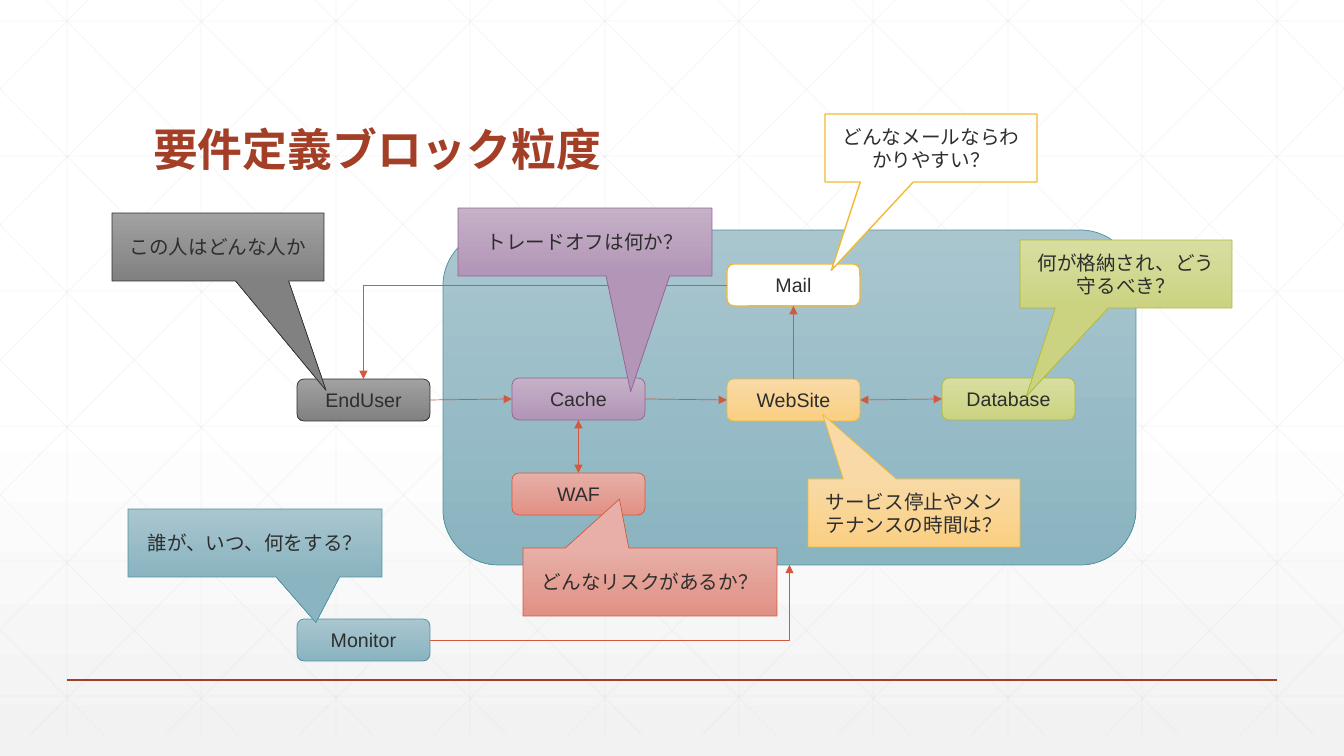
from lxml import etree
from pptx import Presentation
from pptx.dml.color import RGBColor
from pptx.enum.shapes import MSO_CONNECTOR, MSO_SHAPE
from pptx.enum.text import MSO_ANCHOR, PP_ALIGN
from pptx.oxml.ns import qn
from pptx.util import Pt

PX = 9071  # EMU per pixel
WIDTH, HEIGHT = 1344, 756
LATIN, JAPANESE = "Arial", "Noto Sans CJK JP"
STRAIGHT, ELBOW = MSO_CONNECTOR.STRAIGHT, MSO_CONNECTOR.ELBOW
ROUNDED, CALLOUT = MSO_SHAPE.ROUNDED_RECTANGLE, MSO_SHAPE.RECTANGULAR_CALLOUT
MIDDLE, BOTTOM_ANCHOR = MSO_ANCHOR.MIDDLE, MSO_ANCHOR.BOTTOM
LEFT_ALIGN, CENTER = PP_ALIGN.LEFT, PP_ALIGN.CENTER
TOP, LEFT, BOTTOM, RIGHT = range(4)  # connection sites

INK = RGBColor(0x2D, 0x2E, 0x2D)
RUST = RGBColor(0xA4, 0x3F, 0x27)
ARROW = RGBColor(0xD1, 0x5A, 0x3E)
GRID = RGBColor(0xD9, 0xD9, 0xD9)
WHITE = RGBColor(0xFF, 0xFF, 0xFF)
PALE = RGBColor(0xF2, 0xF2, 0xF2)
AMBER = RGBColor(0xF0, 0xBA, 0x34)

# Gradient top, gradient bottom, outline, outline width
GRAY = (RGBColor(0xA1, 0xA1, 0xA1), RGBColor(0x80, 0x81, 0x80), INK, 0.5)
ORANGE = (RGBColor(0xF9, 0xDA, 0xA6), RGBColor(0xFA, 0xCF, 0x83), AMBER, 0.5)
GREEN = (RGBColor(0xD8, 0xDE, 0xA1), RGBColor(0xCB, 0xD3, 0x81), RGBColor(0xAE, 0xB7, 0x33), 0.5)
PURPLE = (RGBColor(0xC5, 0xB1, 0xC8), RGBColor(0xB3, 0x95, 0xB7), RGBColor(0x92, 0x63, 0x97), 0.5)
RED = (RGBColor(0xE7, 0xAF, 0xA7), RGBColor(0xE2, 0x91, 0x86), ARROW, 0.5)
BLUE = (RGBColor(0xA9, 0xC6, 0xCF), RGBColor(0x8A, 0xB4, 0xC0), RGBColor(0x4F, 0x91, 0xA1), 0.5)
PLAIN = (WHITE, WHITE, AMBER, 1)


def write(frame, text, size=14, font=LATIN, color=INK, bold=False,
          align=CENTER, anchor=MIDDLE, spacing=None):
    frame.word_wrap = True
    frame.vertical_anchor = anchor
    paragraph = frame.paragraphs[0]
    paragraph.alignment = align
    paragraph.line_spacing = spacing
    run = paragraph.add_run()
    run.text = text
    run.font.size = Pt(size)
    run.font.name = font
    run.font.bold = bold
    run.font.color.rgb = color
    east_asian = etree.SubElement(run.font._element, qn("a:ea"))
    east_asian.set("typeface", JAPANESE)


def add_panel(kind, left, top, width, height, palette):
    panel = slide.shapes.add_shape(kind, left * PX, top * PX, width * PX, height * PX)
    upper, lower, outline, weight = palette
    panel.shadow.inherit = False
    if upper == lower:
        panel.fill.solid()
        panel.fill.fore_color.rgb = upper
    else:
        panel.fill.gradient()
        panel.fill.gradient_angle = 270
        for stop, color in zip(panel.fill.gradient_stops, (upper, lower)):
            stop.color.rgb = color
    panel.line.color.rgb = outline
    panel.line.width = Pt(weight)
    return panel


prs = Presentation()
prs.slide_width, prs.slide_height = WIDTH * PX, HEIGHT * PX
slide = prs.slides.add_slide(prs.slide_layouts[5])

# Background
backdrop = slide.background.fill
backdrop.gradient()
backdrop.gradient_angle = 270
for stop, color, position in zip(backdrop.gradient_stops, (WHITE, PALE), (0.53, 1)):
    stop.color.rgb = color
    stop.position = position

# Grid: verticals, horizontals, then diagonals cut at the slide's sides
GRID_TOP, GRID_BOTTOM, RUN = -21, 735, 751
slope = (GRID_BOTTOM - GRID_TOP) / RUN
grid = [(x, GRID_TOP, x, GRID_BOTTOM) for x in (round(67 + 134.4 * i) for i in range(10))]
grid += [(0, y, WIDTH, y) for y in range(21, HEIGHT, 135)]
for i in range(-5, 10):
    start = round(25 + 134.4 * i)
    x1, x2 = max(start, 0), min(start + RUN, WIDTH)
    y1, y2 = (round(GRID_TOP + (x - start) * slope) for x in (x1, x2))
    grid += [(x1, y1, x2, y2), (WIDTH - x1, y1, WIDTH - x2, y2)]
for ends in grid:
    grid_line = slide.shapes.add_connector(STRAIGHT, *(v * PX for v in ends))
    grid_line.line.color.rgb = GRID
    grid_line.line.width = Pt(0.5)
    tint = grid_line._element.spPr.find(".//" + qn("a:srgbClr"))
    etree.SubElement(tint, qn("a:alpha")).set("val", "25000")

# Footer rule
footer_rule = slide.shapes.add_connector(STRAIGHT, 67 * PX, 680 * PX, 1277 * PX, 680 * PX)
footer_rule.line.color.rgb = RUST
footer_rule.line.width = Pt(1)

# System boundary and title
system = add_panel(ROUNDED, 443, 230, 693, 335, BLUE)
title = slide.shapes.title
title.left, title.top, title.width, title.height = 143 * PX, 55 * PX, 1058 * PX, 126 * PX
write(title.text_frame, "要件定義ブロック粒度", size=32, font=JAPANESE, color=RUST,
      bold=True, align=LEFT_ALIGN, anchor=BOTTOM_ANCHOR, spacing=0.9)
slide.shapes._spTree.append(title._element)

# Blocks
blocks = {"System": system}
for label, left, top, palette in (
    ("EndUser", 297, 379, GRAY),
    ("WebSite", 727, 379, ORANGE),
    ("Database", 942, 378, GREEN),
    ("Cache", 512, 378, PURPLE),
    ("WAF", 512, 473, RED),
    ("Mail", 727, 264, PLAIN),
    ("Monitor", 297, 619, BLUE),
):
    blocks[label] = add_panel(ROUNDED, left, top, 133, 42, palette)
    write(blocks[label].text_frame, label)

# Arrows between blocks
for kind, source, exit_site, target, entry_site, both_ways in (
    (STRAIGHT, "WebSite", TOP, "Mail", BOTTOM, False),
    (ELBOW, "Mail", LEFT, "EndUser", TOP, False),
    (STRAIGHT, "EndUser", RIGHT, "Cache", LEFT, False),
    (STRAIGHT, "Cache", BOTTOM, "WAF", TOP, True),
    (STRAIGHT, "Cache", RIGHT, "WebSite", LEFT, False),
    (STRAIGHT, "WebSite", RIGHT, "Database", LEFT, True),
    (ELBOW, "Monitor", RIGHT, "System", BOTTOM, False),
):
    arrow = slide.shapes.add_connector(kind, 0, 0, 0, 0)
    arrow.begin_connect(blocks[source], exit_site)
    arrow.end_connect(blocks[target], entry_site)
    arrow.line.color.rgb = ARROW
    arrow.line.width = Pt(0.5)
    properties = arrow._element.spPr
    if kind == ELBOW:
        properties.find(qn("a:prstGeom")).set("prst", "bentConnector2")
    for tip in ("a:headEnd", "a:tailEnd") if both_ways else ("a:tailEnd",):
        etree.SubElement(properties.find(qn("a:ln")), qn(tip)).set("type", "triangle")

# Connectors carry no shadow
for connector in slide.shapes._spTree.findall(qn("p:cxnSp")):
    etree.SubElement(connector.spPr, qn("a:effectLst"))

# Questions about each block
for question, left, top, width, pointer, palette in (
    ("この人はどんな人か", 112, 213, 212, (0.51, 2.11), GRAY),
    ("どんなメールならわかりやすい？", 825, 114, 212, (-0.47, 1.8), PLAIN),
    ("何が格納され、どう守るべき？", 1020, 240, 212, (-0.47, 1.8), GREEN),
    ("サービス停止やメンテナンスの時間は？", 808, 479, 212, (-0.43, -1.45), ORANGE),
    ("どんなリスクがあるか？", 523, 548, 254, (-0.12, -1.22), RED),
    ("トレードオフは何か？", 458, 208, 254, (0.18, 2.2), PURPLE),
    ("誰が、いつ、何をする？", 128, 509, 254, (0.24, 1.17), BLUE),
):
    callout = add_panel(CALLOUT, left, top, width, 68, palette)
    callout.adjustments[0], callout.adjustments[1] = pointer
    write(callout.text_frame, question, spacing=Pt(17))

prs.save("out.pptx")
